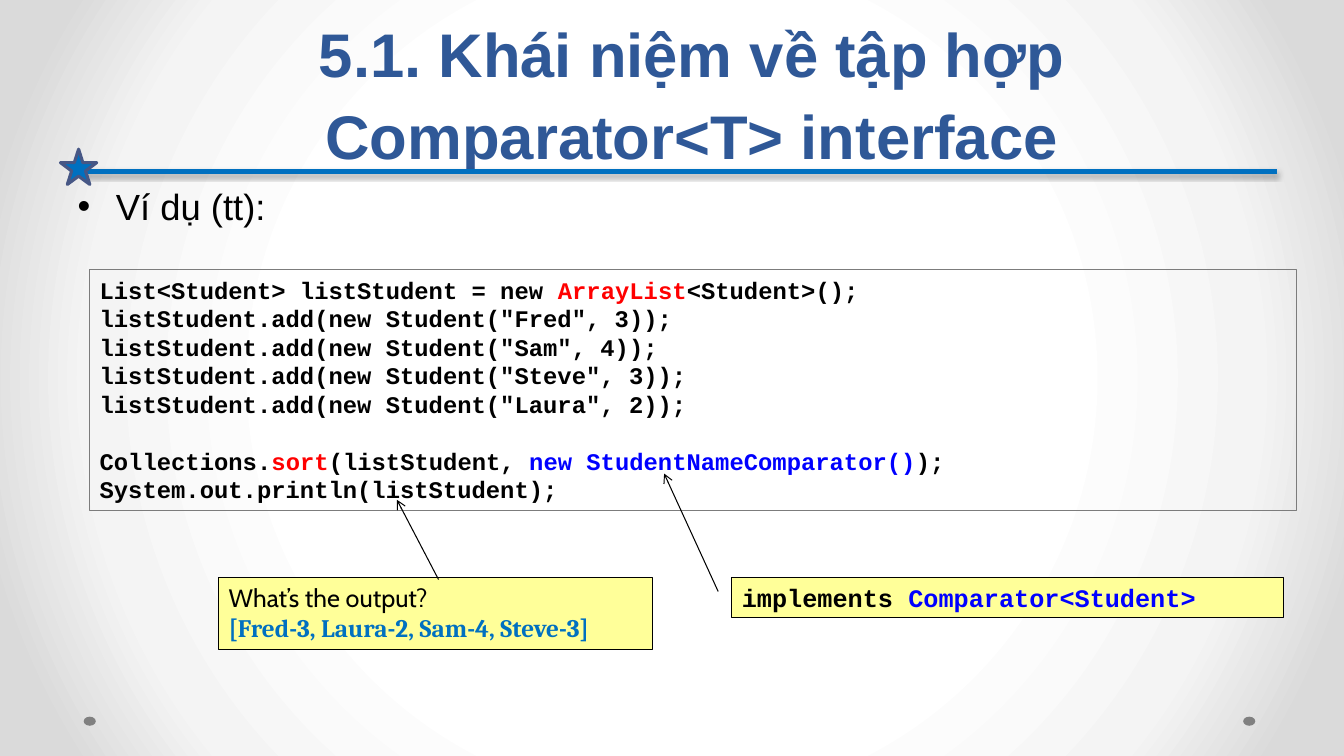
from lxml import etree
from pptx import Presentation
from pptx.dml.color import RGBColor
from pptx.enum.shapes import MSO_CONNECTOR, MSO_SHAPE
from pptx.enum.text import MSO_ANCHOR, MSO_AUTO_SIZE, PP_ALIGN
from pptx.oxml import parse_xml
from pptx.oxml.ns import nsdecls, qn
from pptx.util import Inches, Pt

BLACK = RGBColor(0x00, 0x00, 0x00)
RED = RGBColor(0xFF, 0x00, 0x00)
BLUE = RGBColor(0x00, 0x00, 0xFF)
NAVY = RGBColor(0x2F, 0x58, 0x97)
ACCENT = RGBColor(0x00, 0x70, 0xC0)
STAR_EDGE = RGBColor(0x47, 0x57, 0x85)
GRAY = RGBColor(0x80, 0x80, 0x80)
FRAME = RGBColor(0x7C, 0x7C, 0x7C)
YELLOW = RGBColor(0xFF, 0xFF, 0x99)
MONO = "Courier New"
CODE_PITCH = Pt(20.4)

CODE = [
    [("List<Student> listStudent = new ", BLACK), ("ArrayList", RED),
     ("<Student>();", BLACK)],
    *[[(f'listStudent.add(new Student("{name}", {level}));', BLACK)]
      for name, level in [("Fred", 3), ("Sam", 4), ("Steve", 3), ("Laura", 2)]],
    [("Collections.", BLACK), ("sort", RED), ("(listStudent, ", BLACK),
     ("new StudentNameComparator()", BLUE), (");", BLACK)],
    [("System.out.println(listStudent);", BLACK)],
]
SORT_LINE = 5


def place(sp, left, top, width, height):
    sp.left, sp.top = Inches(left), Inches(top)
    sp.width, sp.height = Inches(width), Inches(height)


def add_run(p, text, size=18, font="Arial", color=BLACK, bold=False):
    r = p.add_run()
    r.text = text
    r.font.size, r.font.name, r.font.bold = Pt(size), font, bold
    r.font.color.rgb = color


def add_line(tf, index, align=PP_ALIGN.LEFT, spacing=None, before=0):
    """Return paragraph number index of a frame, adding it when needed."""
    p = tf.paragraphs[0] if index == 0 else tf.add_paragraph()
    p.alignment, p.line_spacing, p.space_before = align, spacing, before
    return p


def set_background(s):
    stops = "".join(
        f'<a:gs pos="{pos}000"><a:srgbClr val="{color}"/></a:gs>'
        for pos, color in [(50, "FFFFFF"), (76, "F4F4F4"), (92, "DADADA")])
    s.background.fill.solid()
    solid = s.element.find(".//" + qn("p:bgPr")).find(qn("a:solidFill"))
    solid.getparent().replace(solid, parse_xml(
        f'<a:gradFill {nsdecls("a")} rotWithShape="1"><a:gsLst>{stops}</a:gsLst>'
        '<a:path path="circle"><a:fillToRect l="50000" t="50000" r="50000" '
        'b="50000"/></a:path></a:gradFill>'))


def add_box(s, kind, box, fill=None, line=None, weight=0.75):
    sp = s.shapes.add_shape(kind, *[Inches(v) for v in box])
    sp.shadow.inherit = False
    if fill is None:
        sp.fill.background()
    else:
        sp.fill.solid()
        sp.fill.fore_color.rgb = fill
    if line is None:
        sp.line.fill.background()
    else:
        sp.line.color.rgb = line
        sp.line.width = Pt(weight)
    sp.text_frame.word_wrap = True
    sp.text_frame.vertical_anchor = MSO_ANCHOR.TOP
    return sp


def add_callout(s, box, adjustments):
    """Add a yellow note whose pointer ends in an arrowhead."""
    sp = add_box(s, MSO_SHAPE.LINE_CALLOUT_1, box, YELLOW, BLACK)
    for i, value in enumerate(adjustments):
        sp.adjustments[i] = value
    ln = sp.element.spPr.find(qn("a:ln"))
    etree.SubElement(ln, qn("a:tailEnd"), type="arrow")
    return sp.text_frame


def add_rule(s):
    rule = s.shapes.add_connector(MSO_CONNECTOR.STRAIGHT, Inches(0.84), Inches(1.7),
                                  Inches(12.67), Inches(1.7))
    rule.line.color.rgb = ACCENT
    rule.line.width = Pt(4)
    rule.element.spPr.append(parse_xml(
        f'<a:effectLst {nsdecls("a")}><a:outerShdw blurRad="{Pt(3.1)}" '
        f'dist="{Pt(1.8)}" dir="5400000" rotWithShape="0"><a:srgbClr val="000000">'
        '<a:alpha val="35000"/></a:srgbClr></a:outerShdw></a:effectLst>'))


def add_decoration(s):
    for left in (12.33, 0.83):
        add_box(s, MSO_SHAPE.OVAL, (left, 7.11, 0.12, 0.09), GRAY)
    add_rule(s)
    add_box(s, MSO_SHAPE.STAR_5_POINT, (0.6, 1.48, 0.36, 0.35), ACCENT, STAR_EDGE, 2.25)


def fill_title(sp):
    place(sp, 1.08, 0.19, 11.57, 1.56)
    tf = sp.text_frame
    tf.auto_size = MSO_AUTO_SIZE.NONE
    tf.vertical_anchor = MSO_ANCHOR.BOTTOM
    p = add_line(tf, 0, PP_ALIGN.CENTER, Pt(58))
    style = dict(size=44, color=NAVY, bold=True)
    add_run(p, "5.1. Khái niệm về tập hợp", **style)
    p.add_line_break()
    add_run(p, "Comparator<T> interface", **style)


def fill_body(sp):
    place(sp, 0.67, 1.78, 12, 5.31)
    tf = sp.text_frame
    tf.auto_size = MSO_AUTO_SIZE.NONE
    p = add_line(tf, 0)
    pPr = p._p.get_or_add_pPr()
    pPr.set("marL", str(Inches(0.38)))
    pPr.set("indent", str(Inches(-0.38)))
    etree.SubElement(pPr, qn("a:buChar"), char="•")
    add_run(p, "Ví dụ (tt):", size=26)


def add_code(s):
    sp = add_box(s, MSO_SHAPE.RECTANGLE, (0.89, 2.67, 11.97, 2.39), line=FRAME)
    sp.text_frame.vertical_anchor = MSO_ANCHOR.MIDDLE
    for i, parts in enumerate(CODE):
        p = add_line(sp.text_frame, i, spacing=CODE_PITCH,
                     before=CODE_PITCH if i == SORT_LINE else 0)
        for text, color in parts:
            add_run(p, text, size=17, font=MONO, color=color, bold=True)


def add_notes_on_code(s):
    tf = add_callout(s, (7.26, 5.73, 5.47, 0.4), (0.346, -0.025, -2.578, -0.123))
    p = add_line(tf, 0)
    add_run(p, "implements ", font=MONO, bold=True)
    add_run(p, "Comparator<Student>", font=MONO, color=BLUE, bold=True)

    tf = add_callout(s, (2.17, 5.73, 4.3, 0.71), (0.028, 0.507, -1.087, 0.411))
    add_run(add_line(tf, 0), "What’s the output?", font="Cabin")
    add_run(add_line(tf, 1), "[Fred-3, Laura-2, Sam-4, Steve-3]", font="Cambria",
            color=ACCENT, bold=True)


def main():
    prs = Presentation()
    prs.slide_width, prs.slide_height = Inches(13.33), Inches(7.5)
    s = prs.slides.add_slide(prs.slide_layouts[1])
    set_background(s)
    add_decoration(s)
    fill_title(s.shapes.title)
    fill_body(s.placeholders[1])
    add_code(s)
    add_notes_on_code(s)
    prs.save("out.pptx")


if __name__ == "__main__":
    main()
